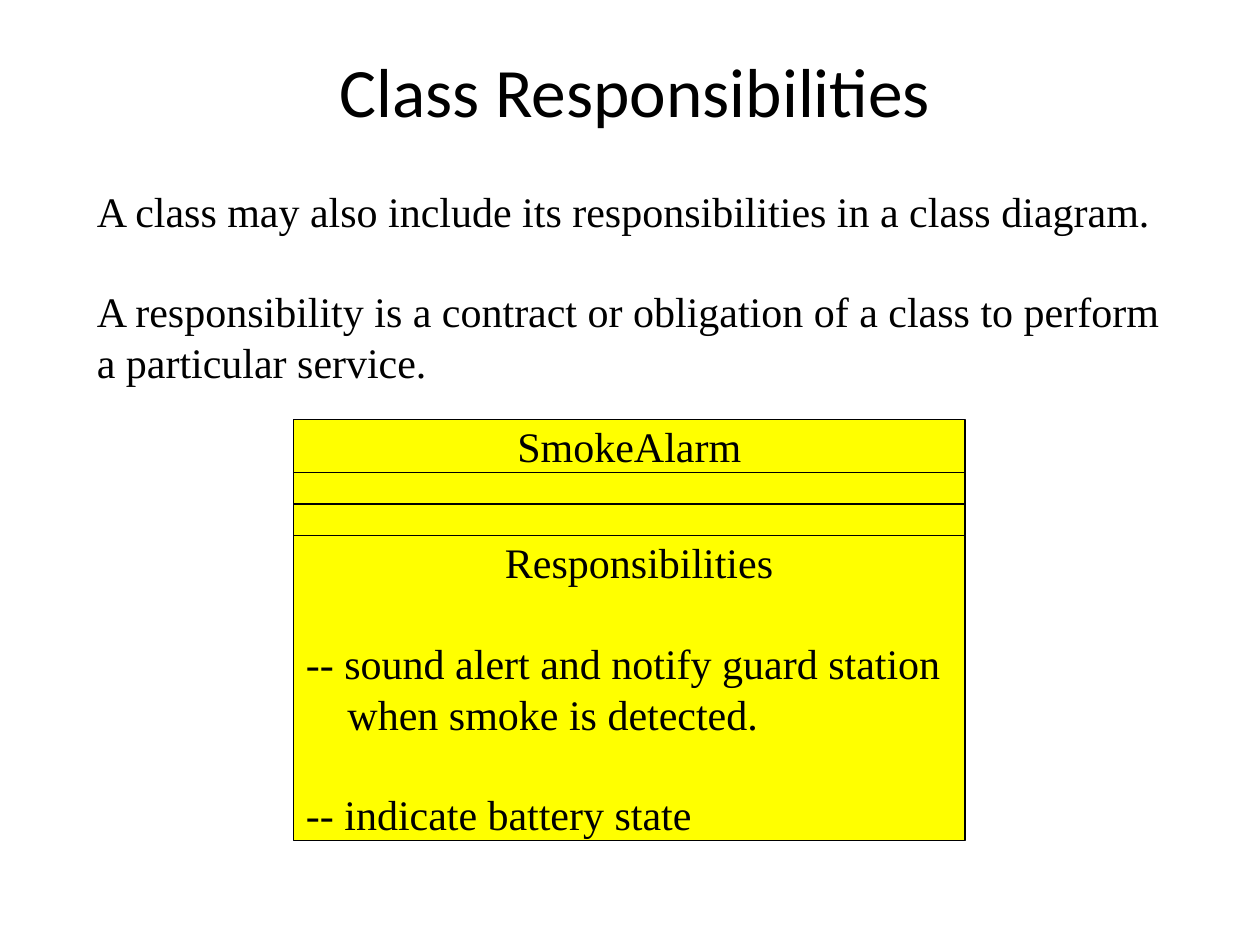
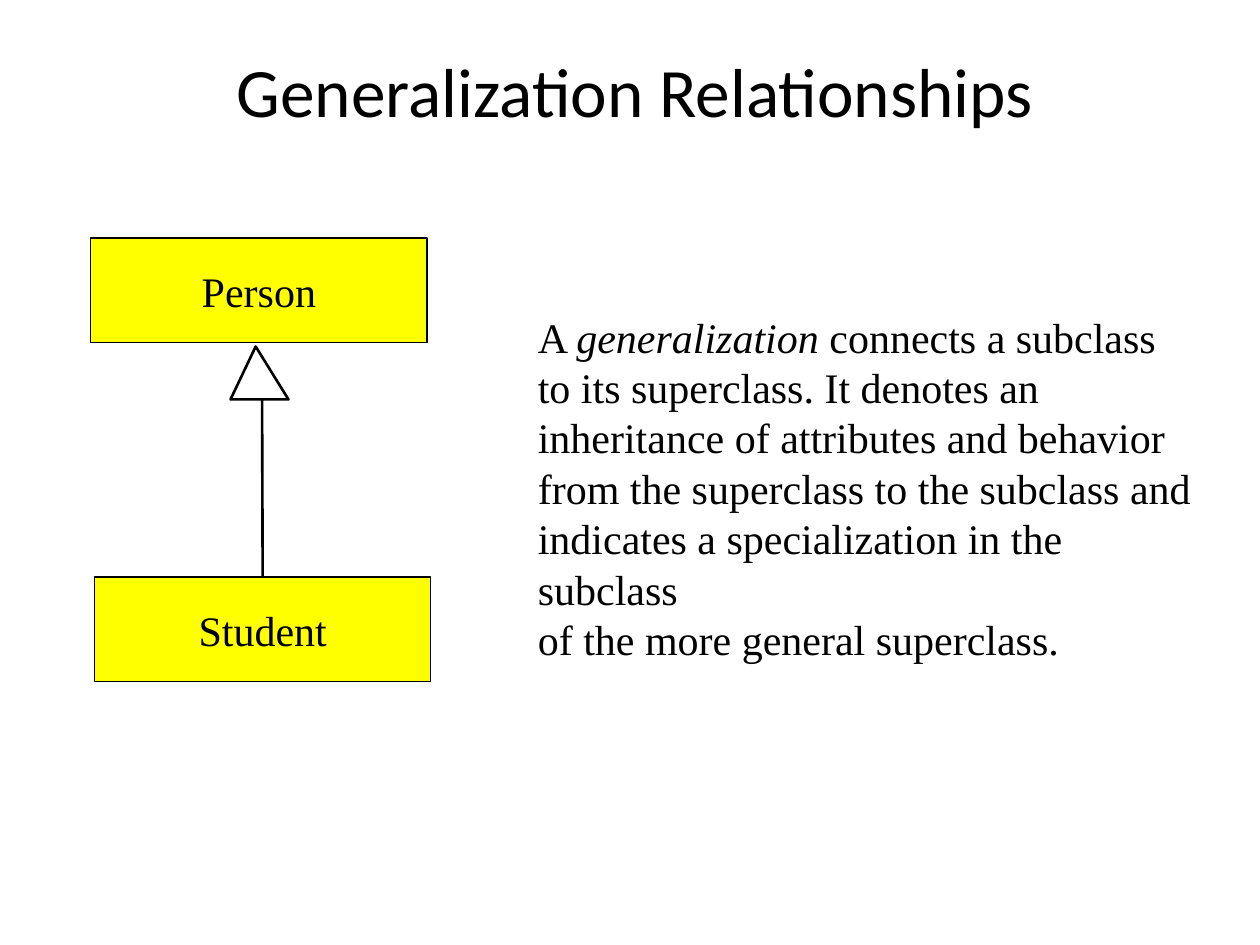
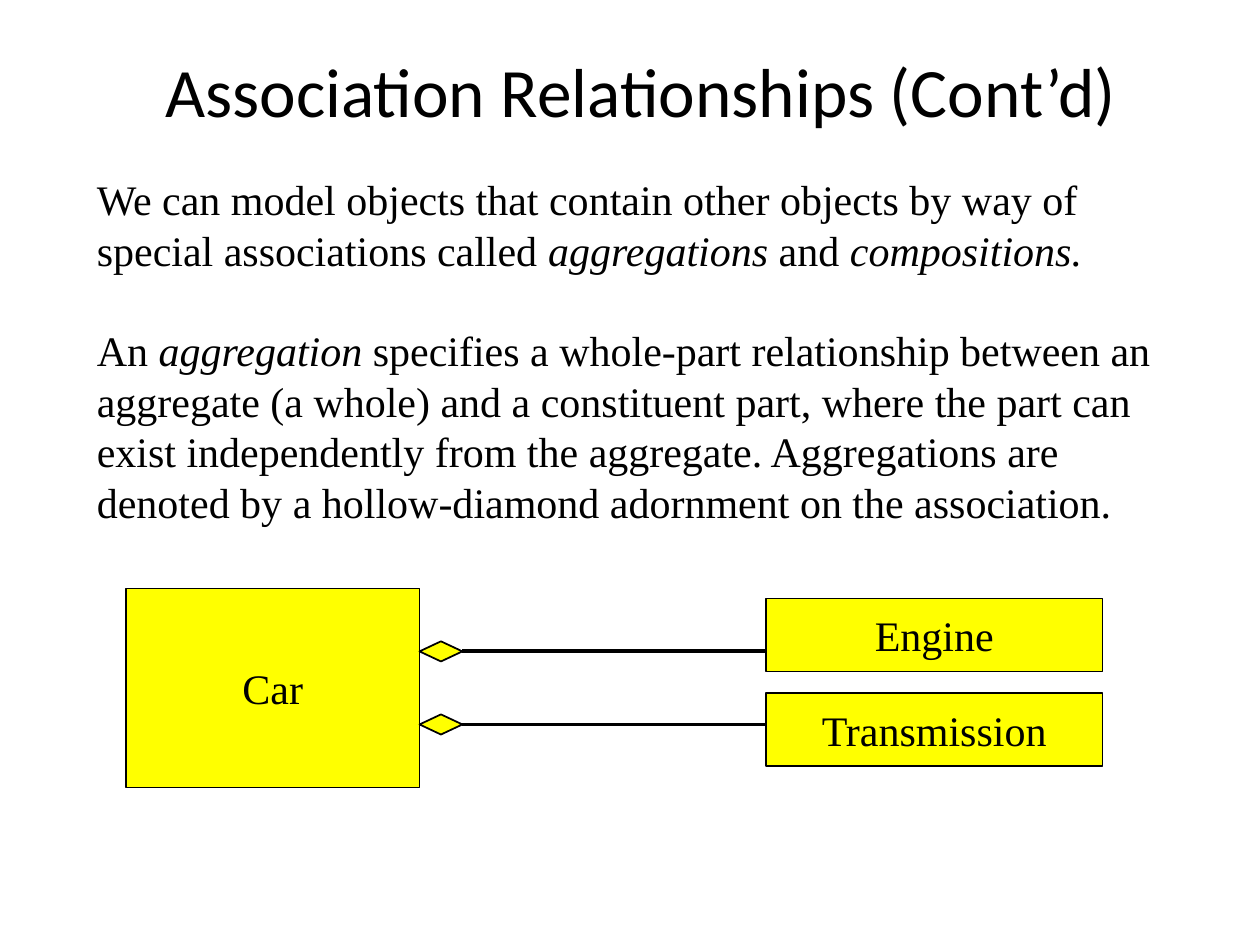
from dataclasses import dataclass
from itertools import pairwise

from lxml.etree import SubElement
from pptx import Presentation
from pptx.dml.color import RGBColor
from pptx.enum.shapes import MSO_CONNECTOR, MSO_SHAPE
from pptx.enum.text import MSO_ANCHOR, PP_ALIGN
from pptx.oxml.ns import qn
from pptx.util import Inches, Pt


@dataclass(frozen=True)
class Theme:
    ink: RGBColor = RGBColor(0, 0, 0)
    paper: RGBColor = RGBColor(255, 255, 255)
    class_fill: RGBColor = RGBColor(255, 255, 0)
    title_font: str = "Calibri"
    body_font: str = "Times New Roman"
    title_size: float = 39.6
    body_size: float = 24
    line_pitch: float = 28.8
    box_line: float = 0.75
    diamond_line: float = 1
    inheritance_line: float = 1.5
    association_line: float = 2.25


THEME = Theme()

RESPONSIBILITIES = {
    "title": "Class Responsibilities",
    "body": [
        "A class may also include its responsibilities in a class diagram.",
        "A responsibility is a contract or obligation of a class to perform a particular service.",
    ],
    "class_name": "SmokeAlarm",
    "heading": "Responsibilities",
    "duties": [
        "-- sound alert and notify guard station when smoke is detected.",
        "-- indicate battery state",
    ],
}
GENERALIZATION = {
    "title": "Generalization Relationships",
    "body": [
        "A *generalization* connects a subclass",
        "to its superclass. It denotes an",
        "inheritance of attributes and behavior",
        "from the superclass to the subclass and",
        "indicates a specialization in the subclass",
        "of the more general superclass.",
    ],
    "superclass": "Person",
    "subclass": "Student",
}
ASSOCIATION = {
    "title": "Association Relationships (Cont’d)",
    "body": [
        "We can model objects that contain other objects by way of special associations "
        "called *aggregations* and *compositions.*",
        "An *aggregation* specifies a whole-part relationship between an aggregate (a whole) "
        "and a constituent part, where the part can exist independently from the aggregate. "
        "Aggregations are denoted by a hollow-diamond adornment on the association.",
    ],
    "whole": "Car",
    "parts": [("Engine", 4.75, 5.17), ("Transmission", 5.5, 5.75)],
}


def inches(*values):
    return [Inches(value) for value in values]


def write(paragraph, text, font=THEME.body_font, size=THEME.body_size, align=PP_ALIGN.LEFT):
    for position, part in enumerate(text.split("*")):
        if part:
            run = paragraph.add_run()
            run.text = part
            if position % 2:
                run.font.italic = True
    paragraph.alignment = align
    paragraph.font.name = font
    paragraph.font.size = Pt(size)
    paragraph.font.color.rgb = THEME.ink


def write_body(frame, texts, gaps):
    frame.word_wrap = True
    paragraphs = []
    for position, (text, gap) in enumerate(zip(texts, gaps)):
        paragraph = frame.add_paragraph() if position else frame.paragraphs[0]
        write(paragraph, text)
        paragraph.line_spacing = Pt(THEME.line_pitch)
        if gap:
            paragraph.space_before = Pt(THEME.line_pitch)
        paragraphs.append(paragraph)
    return paragraphs


def indent(paragraph, left, first=0.0):
    properties = paragraph._p.get_or_add_pPr()
    properties.set("marL", str(Inches(left)))
    properties.set("indent", str(Inches(first)))


def add_slide(presentation, title, left=0.75, width=8.58):
    slide = presentation.slides.add_slide(presentation.slide_layouts[6])
    frame = slide.shapes.add_textbox(*inches(left, 0.42, width, 0.58)).text_frame
    frame.word_wrap = True
    frame.vertical_anchor = MSO_ANCHOR.MIDDLE
    write(frame.paragraphs[0], title, THEME.title_font, THEME.title_size, PP_ALIGN.CENTER)
    return slide


def add_body(slide, box, texts, spaced=True):
    frame = slide.shapes.add_textbox(*inches(*box)).text_frame
    write_body(frame, texts, [spaced and position > 0 for position in range(len(texts))])


def paint(shape, fill, width):
    shape.shadow.inherit = False
    shape.fill.solid()
    shape.fill.fore_color.rgb = fill
    shape.line.color.rgb = THEME.ink
    shape.line.width = Pt(width)


def add_class_box(slide, box, label=""):
    shape = slide.shapes.add_shape(MSO_SHAPE.RECTANGLE, *inches(*box))
    paint(shape, THEME.class_fill, THEME.box_line)
    shape.text_frame.vertical_anchor = MSO_ANCHOR.MIDDLE
    if label:
        shape.text_frame.word_wrap = False
        write(shape.text_frame.paragraphs[0], label, align=PP_ALIGN.CENTER)
    return shape


def add_line(slide, start, end, width):
    connector = slide.shapes.add_connector(MSO_CONNECTOR.STRAIGHT, *inches(*start, *end))
    connector.line.color.rgb = THEME.ink
    connector.line.width = Pt(width)
    SubElement(connector._element.spPr, qn("a:effectLst"))
    return connector


def add_outline(slide, points, fill, width):
    start, *others = [tuple(inches(*point)) for point in points]
    builder = slide.shapes.build_freeform(*start)
    builder.add_line_segments(others, close=True)
    paint(builder.convert_to_shape(), fill, width)


def build_responsibilities(presentation, content):
    slide = add_slide(presentation, content["title"])
    add_body(slide, (0.67, 1.42, 8.75, 1.7), content["body"])
    edges = [3.33, 3.75, 4, 4.25, 6.67]
    labels = [content["class_name"], "", "", ""]
    compartments = [
        add_class_box(slide, (2.33, top, 5.33, bottom - top), label)
        for (top, bottom), label in zip(pairwise(edges), labels)
    ]
    heading, *duties = write_body(
        compartments[-1].text_frame,
        [content["heading"], *content["duties"]],
        [False, True, True],
    )
    indent(heading, 1.58)
    for duty in duties:
        indent(duty, 0.33, -0.33)


def build_generalization(presentation, content):
    slide = add_slide(presentation, content["title"])
    add_class_box(slide, (0.72, 1.89, 2.67, 0.83), content["superclass"])
    add_body(slide, (4.17, 2.42, 5.55, 2.5), content["body"], spaced=False)
    subclass = add_class_box(slide, (0.75, 4.58, 2.67, 0.83), content["subclass"])
    line = add_line(slide, (2.08, 3.17), (2.08, 4.58), THEME.inheritance_line)
    line.end_connect(subclass, 0)
    triangle = [(2.03, 2.75), (1.83, 3.17), (2.29, 3.17)]
    add_outline(slide, triangle, THEME.paper, THEME.inheritance_line)


def build_association(presentation, content):
    slide = add_slide(presentation, content["title"], 0.67, 8.83)
    add_body(slide, (0.67, 1.33, 8.58, 2.9), content["body"])
    add_class_box(slide, (1, 4.67, 2.33, 1.58), content["whole"])
    whole_right, diamond_right, part_left = 3.33, 3.67, 6.08
    diamond_middle = (whole_right + diamond_right) / 2
    for name, top, line_y in content["parts"]:
        add_class_box(slide, (part_left, top, 2.67, 0.58), name)
        add_line(slide, (diamond_right, line_y), (part_left, line_y), THEME.association_line)
        diamond = [
            (whole_right, line_y),
            (diamond_middle, line_y - 0.08),
            (diamond_right, line_y),
            (diamond_middle, line_y + 0.08),
        ]
        add_outline(slide, diamond, THEME.class_fill, THEME.diamond_line)


def main():
    presentation = Presentation()
    presentation.slide_width, presentation.slide_height = inches(10, 7.5)
    build_responsibilities(presentation, RESPONSIBILITIES)
    build_generalization(presentation, GENERALIZATION)
    build_association(presentation, ASSOCIATION)
    presentation.save("out.pptx")


if __name__ == "__main__":
    main()
